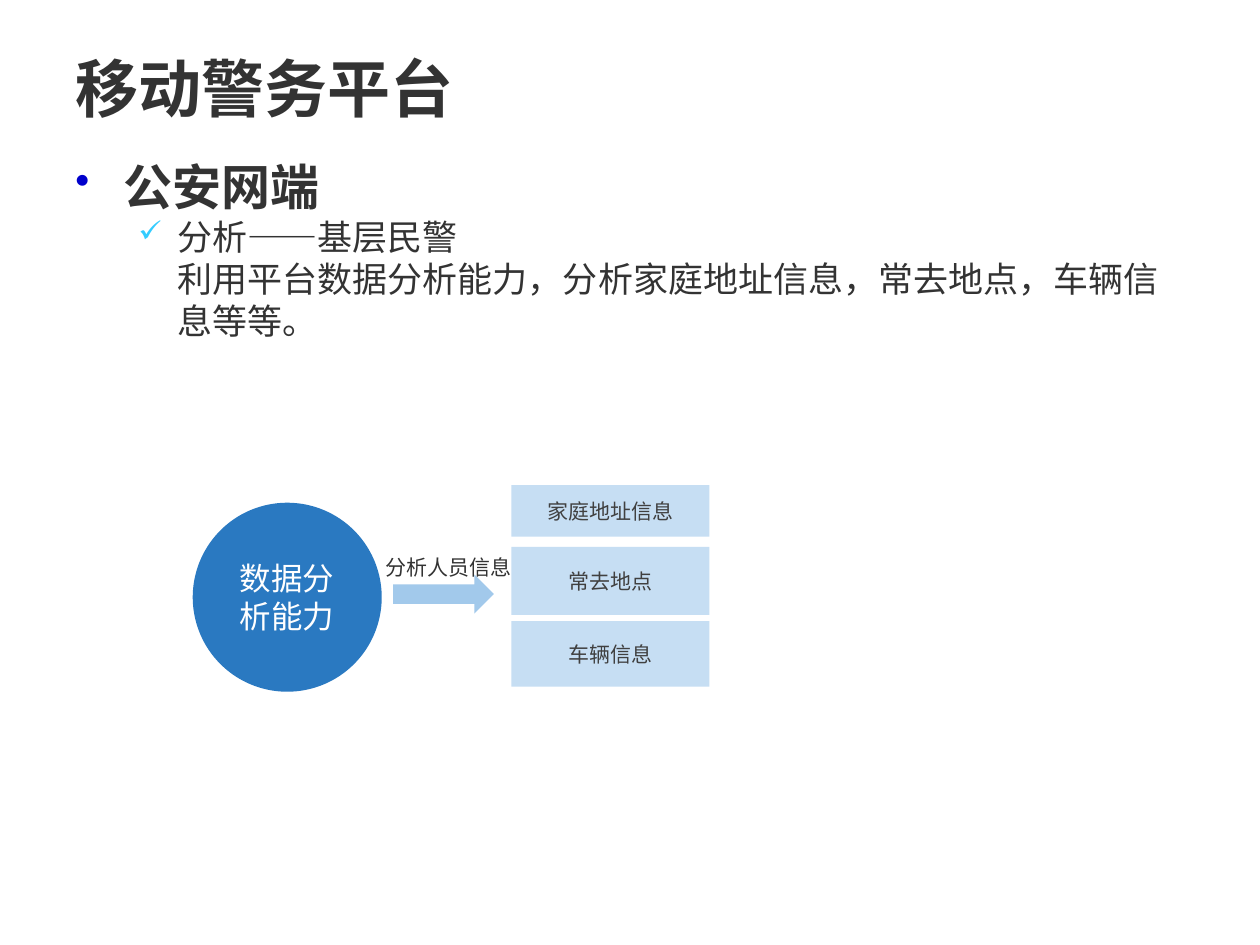
from lxml import etree
from pptx import Presentation
from pptx.dml.color import RGBColor
from pptx.enum.shapes import MSO_SHAPE
from pptx.enum.text import MSO_ANCHOR, PP_ALIGN
from pptx.oxml.ns import qn
from pptx.util import Inches, Pt

CIRCLE, BAR, ARROW = MSO_SHAPE.OVAL, MSO_SHAPE.RECTANGLE, MSO_SHAPE.RIGHT_ARROW
TOP, MIDDLE = MSO_ANCHOR.TOP, MSO_ANCHOR.MIDDLE
LEFT, CENTER = PP_ALIGN.LEFT, PP_ALIGN.CENTER

COLORS = {
    "ink": "333333", "label": "404040", "white": "FFFFFF",
    "circle": "2A79C1", "bar": "C6DEF3", "arrow": "A2C9EB",
    "dot": "0000CC", "check": "33CCFF",
}
SERIF, SANS, CJK = "Times New Roman", "Arial", "Noto Sans CJK SC"


class SlideBuilder:
    """Holds the text style and the current slide."""

    def __init__(self, page):
        self.page = page
        self.base = {"name": SERIF, "size": Pt(20), "bold": False}

    def add_text(self, para, text, color="ink", align=LEFT, **changes):
        para.alignment = align
        span = para.add_run()
        span.text = text
        for name, value in {**self.base, **changes}.items():
            setattr(span.font, name, value)
        span.font.color.rgb = RGBColor.from_string(COLORS[color])

    def text_box(self, place, anchor=TOP, wrap=True):
        box = self.page.shapes.add_textbox(*map(Inches, place))
        frame = box.text_frame
        frame.word_wrap = wrap
        frame.vertical_anchor = anchor
        return frame

    def shape(self, kind, place, fill, text=None, **style):
        shape = self.page.shapes.add_shape(kind, *map(Inches, place))
        shape.shadow.inherit = False
        shape.fill.solid()
        shape.fill.fore_color.rgb = RGBColor.from_string(COLORS[fill])
        shape.line.fill.background()
        if text:
            frame = shape.text_frame
            frame.word_wrap = True
            frame.vertical_anchor = MIDDLE
            self.add_text(frame.paragraphs[0], text, align=CENTER, **style)

    def outline(self, para, text, margin, hanging, level=0, bullet=None, **style):
        para.level = level
        para.line_spacing = 1.0
        props = para._p.get_or_add_pPr()
        props.set("marL", str(Inches(margin)))
        props.set("indent", str(-Inches(hanging)))
        if bullet:
            mark, color = bullet
            tint = etree.SubElement(props, qn("a:buClr"))
            etree.SubElement(tint, qn("a:srgbClr"), val=COLORS[color])
            etree.SubElement(props, qn("a:buSzPct"), val="85000")
            etree.SubElement(props, qn("a:buChar"), char=mark)
        else:
            etree.SubElement(props, qn("a:buNone"))
        self.add_text(para, text, **style)


def main():
    deck = Presentation()
    deck.slide_width, deck.slide_height = Inches(10), Inches(7.5)
    builder = SlideBuilder(deck.slides.add_slide(deck.slide_layouts[6]))

    # Title
    title = builder.text_box((0.5, 0.3, 9, 0.78), MIDDLE)
    builder.add_text(title.paragraphs[0], "移动警务平台", size=Pt(36), bold=True)

    # Outline text
    body = builder.text_box((0.5, 1.17, 9, 4.79))
    body.margin_top = Inches(0.07)
    builder.outline(body.paragraphs[0], "公安网端", 0.38, 0.38,
                    bullet=("•", "dot"), size=Pt(28), bold=True)
    builder.outline(body.add_paragraph(), "分析——基层民警", 0.81, 0.31,
                    level=1, bullet=("✓", "check"))
    builder.outline(body.add_paragraph(),
                    "利用平台数据分析能力，分析家庭地址信息，常去地点，车辆信息等等。",
                    0.81, 0, level=1)

    # Source circle
    builder.shape(CIRCLE, (1.53, 3.99, 1.5, 1.5), "circle", "数据分析能力",
                  color="white", size=Pt(18))

    # Result bars
    for top, height, text in ((3.85, 0.41, "家庭地址信息"),
                              (4.34, 0.54, "常去地点"),
                              (4.93, 0.52, "车辆信息")):
        builder.shape(BAR, (4.06, top, 1.57, height), "bar", text,
                      color="label", name=CJK, size=Pt(12))

    # Arrow and its label
    builder.shape(ARROW, (3.12, 4.56, 0.8, 0.31), "arrow")
    label = builder.text_box((2.96, 4.35, 1.2, 0.3), wrap=False)
    builder.add_text(label.paragraphs[0], "分析人员信息", name=SANS, size=Pt(12))

    deck.save("out.pptx")


if __name__ == "__main__":
    main()
